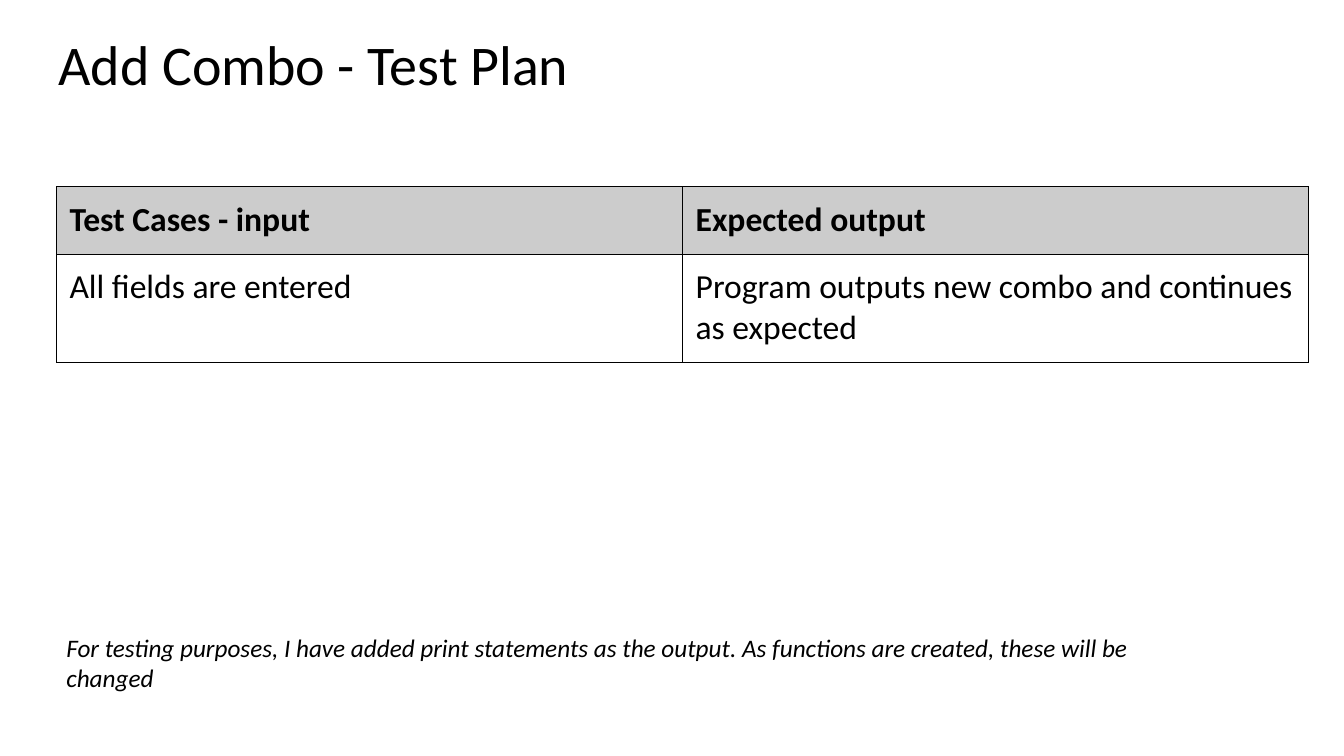
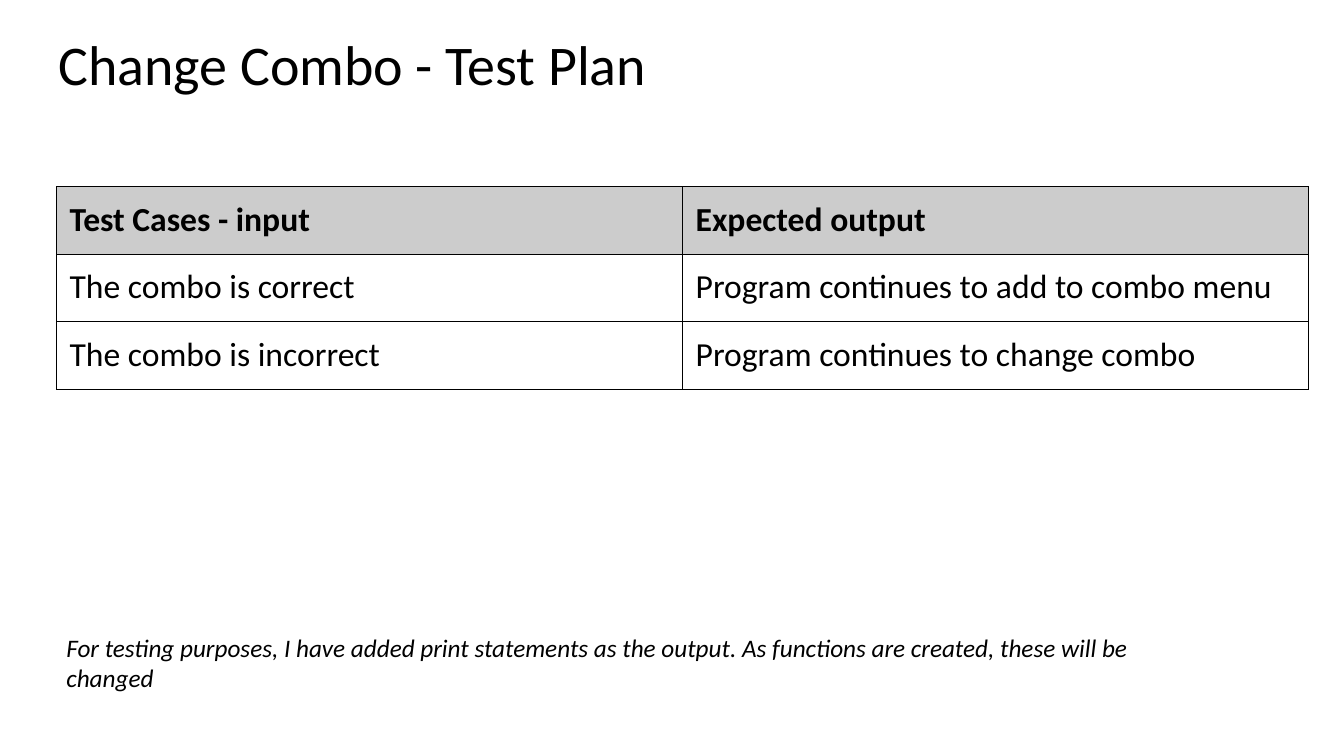
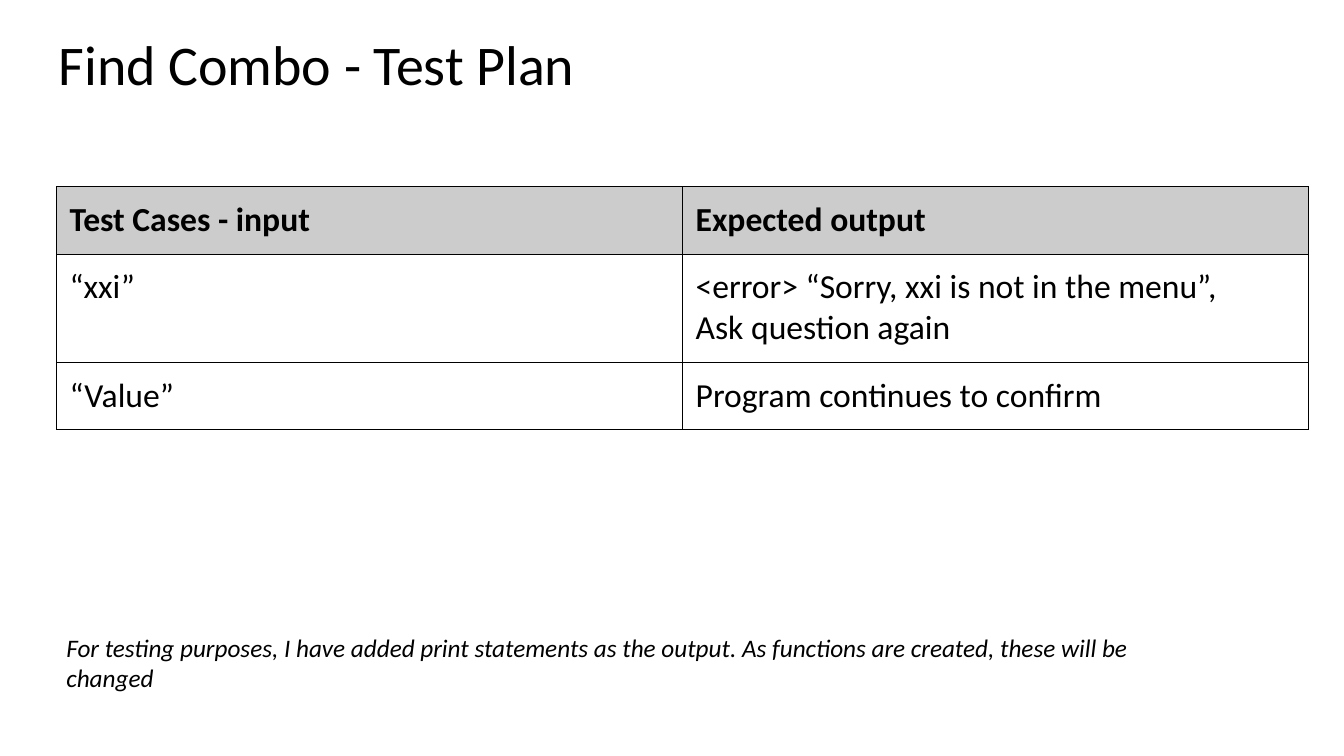
from dataclasses import dataclass

from lxml.etree import SubElement
from pptx import Presentation
from pptx.dml.color import RGBColor
from pptx.enum.text import MSO_ANCHOR, MSO_AUTO_SIZE, PP_ALIGN
from pptx.oxml.ns import qn
from pptx.util import Inches, Pt


@dataclass(frozen=True)
class Theme:
    """Colours, font, type sizes and spacing shared by the slides."""
    ink: str = "000000"
    header: str = "CCCCCC"
    font: str = "Calibri"
    title_size: int = 40
    table_size: int = 24
    note_size: int = 18
    border: float = 0.75
    inset: float = 0.13


@dataclass(frozen=True)
class Box:
    """A region of the page in inches."""
    left: float
    top: float
    width: float
    height: float

    def lengths(self):
        """Return left, top, width and height as lengths."""
        return [Inches(value) for value in (self.left, self.top, self.width, self.height)]


THEME = Theme()
TITLE_BOX = Box(0.45, 0.24, 12.42, 0.84)
TABLE_BOX = Box(0.56, 1.85, 12.42, 0.67)
NOTE_BOX = Box(0.56, 6.22, 10.94, 0.71)
HEADINGS = ("Test Cases - input", "Expected output")
NOTE = (
    "For testing purposes, I have added print statements as the output. "
    "As functions are created, these will be changed"
)
PLANS = {
    "Add Combo - Test Plan": [
        ("All fields are entered", "Program outputs new combo and continues as expected"),
    ],
    "Change Combo - Test Plan": [
        ("The combo is correct", "Program continues to add to combo menu"),
        ("The combo is incorrect", "Program continues to change combo"),
    ],
    "Find Combo - Test Plan": [
        ("“xxi”", "<error> “Sorry, xxi is not in the menu”,\nAsk question again"),
        ("“Value”", "Program continues to confirm"),
    ],
}


def write_text(frame, text, size, bold=False, italic=False):
    """Fill a text frame with one left-aligned paragraph per line."""
    frame.word_wrap = True
    for index, line in enumerate(text.split("\n")):
        para = frame.add_paragraph() if index else frame.paragraphs[0]
        para.alignment = PP_ALIGN.LEFT
        span = para.add_run()
        span.text = line
        span.font.name = THEME.font
        span.font.size = Pt(size)
        span.font.bold = bold
        span.font.italic = italic
        span.font.color.rgb = RGBColor.from_string(THEME.ink)


def set_insets(target):
    """Give a text frame or a cell the shared inset on every side."""
    for side in ("left", "top", "right", "bottom"):
        setattr(target, f"margin_{side}", Inches(THEME.inset))


def add_borders(cell):
    """Draw a thin line on each side of a cell."""
    properties = cell._tc.get_or_add_tcPr()
    for side in "LRTB":
        line = SubElement(properties, qn(f"a:ln{side}"), w=str(Pt(THEME.border)))
        fill = SubElement(line, qn("a:solidFill"))
        SubElement(fill, qn("a:srgbClr"), val=THEME.ink)


def place_title(page, box, text):
    """Move the title placeholder to its box and fill it."""
    title = page.shapes.title
    title.left, title.top, title.width, title.height = box.lengths()
    frame = title.text_frame
    frame.auto_size = MSO_AUTO_SIZE.NONE
    frame.vertical_anchor = MSO_ANCHOR.TOP
    set_insets(frame)
    write_text(frame, text, THEME.title_size)
    frame.paragraphs[0].line_spacing = 0.9


def place_table(page, box, cases):
    """Add the table of test cases, with rows as high as the box."""
    rows = [HEADINGS, *cases]
    left, top, width, row_height = box.lengths()
    table = page.shapes.add_table(
        len(rows), len(HEADINGS), left, top, width, row_height * len(rows)
    ).table
    table.horz_banding = False
    for row_index, texts in enumerate(rows):
        is_header = row_index == 0
        for column_index, text in enumerate(texts):
            cell = table.cell(row_index, column_index)
            set_insets(cell)
            add_borders(cell)
            if is_header:
                cell.fill.solid()
                cell.fill.fore_color.rgb = RGBColor.from_string(THEME.header)
            else:
                cell.fill.background()
            write_text(cell.text_frame, text, THEME.table_size, bold=is_header)


def place_note(page, box, text):
    """Add the italic remark at the foot of the page."""
    frame = page.shapes.add_textbox(*box.lengths()).text_frame
    write_text(frame, text, THEME.note_size, italic=True)
    frame.auto_size = MSO_AUTO_SIZE.SHAPE_TO_FIT_TEXT


def add_plan_page(deck, title, cases):
    """Add one test plan slide."""
    page = deck.slides.add_slide(deck.slide_layouts.get_by_name("Title Only"))
    place_title(page, TITLE_BOX, title)
    place_table(page, TABLE_BOX, cases)
    place_note(page, NOTE_BOX, NOTE)


def main():
    """Build and save the deck."""
    deck = Presentation()
    deck.slide_width = Inches(13.33)
    deck.slide_height = Inches(7.5)
    for title, cases in PLANS.items():
        add_plan_page(deck, title, cases)
    deck.save("out.pptx")


if __name__ == "__main__":
    main()
